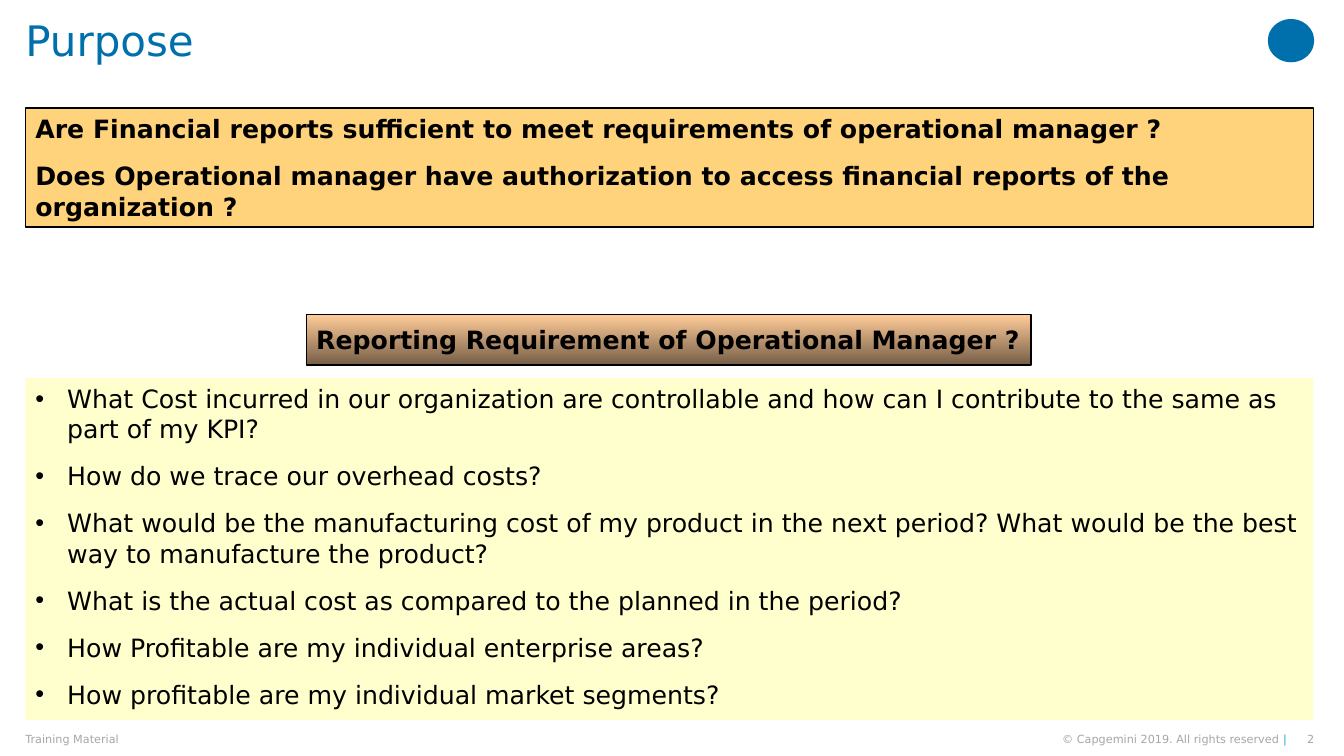
from dataclasses import dataclass

from lxml.etree import SubElement
from pptx import Presentation
from pptx.dml.color import RGBColor as Rgb
from pptx.enum.shapes import MSO_SHAPE as Shape
from pptx.enum.text import MSO_ANCHOR as Anchor, MSO_AUTO_SIZE as AutoSize, PP_ALIGN as Align
from pptx.oxml.ns import qn
from pptx.util import Cm, Pt


@dataclass(frozen=True)
class Theme:
    font: str = "DejaVu Sans"
    blue: str = "0070AD"
    cyan: str = "12ABDB"
    grey: str = "A6A6A6"
    black: str = "000000"
    amber: str = "FFCC66"
    yellow: str = "FFFF99"
    peach: str = "FFCC99"
    brown: str = "765E47"
    title_size: int = 30
    body_size: int = 18
    footer_size: int = 8


LEFT, WIDTH = 0.64, 32.46
FOOTER_TOP, FOOTER_HEIGHT = 18.47, 0.33

QUESTIONS = [
    "Are Financial reports sufficient to meet requirements of operational manager ?",
    "Does Operational manager have authorization to access financial reports of the organization ?",
]
REQUIREMENTS = [
    "What Cost incurred in our organization are controllable and how can I contribute to the same as part of my KPI?",
    "How do we trace our overhead costs?",
    "What would be the manufacturing cost of my product in the next period? "
    "What would be the best way to manufacture the product?",
    "What is the actual cost as compared to the planned in the period?",
    "How Profitable are my individual enterprise areas?",
    "How profitable are my individual market segments?",
]


class SlideBuilder:
    def __init__(self, slide, theme):
        self.slide = slide
        self.theme = theme

    def add_run(self, paragraph, text, size, color, bold=False):
        run = paragraph.add_run()
        run.text = text
        run.font.name = self.theme.font
        run.font.size = Pt(size)
        run.font.bold = bold
        run.font.color.rgb = Rgb.from_string(color)

    def add_lines(self, frame, lines, bold=False, bullets=False):
        for number, line in enumerate(lines):
            paragraph = frame.add_paragraph() if number else frame.paragraphs[0]
            paragraph.alignment = Align.LEFT
            paragraph.space_before = Pt(6 if number else 0)
            paragraph.space_after = Pt(6 if len(lines) > 1 else 0)
            if bullets:
                properties = paragraph._p.get_or_add_pPr()
                properties.set("marL", str(Cm(0.8)))
                properties.set("indent", str(-Cm(0.8)))
                SubElement(properties, qn("a:buChar")).set("char", "•")
            self.add_run(paragraph, line, self.theme.body_size, self.theme.black, bold)

    def tint(self, shape, color, opacity):
        shape.fill.solid()
        shape.fill.fore_color.rgb = Rgb.from_string(color)
        tone = shape._element.spPr.find(qn("a:solidFill")).find(qn("a:srgbClr"))
        SubElement(tone, qn("a:alpha")).set("val", str(opacity * 1000))

    def place(self, shape, left, top, width, height):
        shape.left, shape.top = Cm(left), Cm(top)
        shape.width, shape.height = Cm(width), Cm(height)

    def title(self, text, *bounds):
        heading = self.slide.shapes.title
        self.place(heading, *bounds)
        frame = heading.text_frame
        frame.auto_size = AutoSize.NONE
        frame.vertical_anchor = Anchor.TOP
        frame.margin_left = frame.margin_right = frame.margin_bottom = 0
        frame.margin_top = Cm(0.51)
        paragraph = frame.paragraphs[0]
        paragraph.alignment = Align.LEFT
        paragraph.line_spacing = 0.9
        self.add_run(paragraph, text, self.theme.title_size, self.theme.blue)

    def bullet_panel(self, lines, *bounds):
        panel = self.slide.placeholders[1]
        self.place(panel, *bounds)
        self.tint(panel, self.theme.yellow, 48)
        panel.text_frame.auto_size = AutoSize.NONE
        panel.text_frame.vertical_anchor = Anchor.TOP
        self.add_lines(panel.text_frame, lines, bullets=True)

    def box(self, lines, *bounds, wrap=True):
        box = self.slide.shapes.add_shape(Shape.RECTANGLE, *map(Cm, bounds))
        box.shadow.inherit = False
        box.line.color.rgb = Rgb.from_string(self.theme.black)
        box.line.width = Pt(1)
        box.text_frame.word_wrap = wrap
        box.text_frame.vertical_anchor = Anchor.MIDDLE
        self.add_lines(box.text_frame, lines, bold=True)
        return box

    def question_box(self, lines, *bounds):
        self.tint(self.box(lines, *bounds), self.theme.amber, 85)

    def caption_box(self, text, *bounds):
        fill = self.box([text], *bounds, wrap=False).fill
        fill.gradient()
        fill.gradient_angle = 270
        for stop, color in zip(fill.gradient_stops, (self.theme.peach, self.theme.brown)):
            stop.color.rgb = Rgb.from_string(color)

    def emblem(self, *bounds):
        emblem = self.slide.shapes.add_shape(Shape.OVAL, *map(Cm, bounds))
        emblem.shadow.inherit = False
        emblem.fill.solid()
        emblem.fill.fore_color.rgb = Rgb.from_string(self.theme.blue)
        emblem.line.fill.background()

    def footer(self, pieces, left, width, align):
        note = self.slide.shapes.add_textbox(
            Cm(left), Cm(FOOTER_TOP), Cm(width), Cm(FOOTER_HEIGHT))
        frame = note.text_frame
        frame.word_wrap = True
        frame.vertical_anchor = Anchor.MIDDLE
        frame.margin_left = frame.margin_right = frame.margin_top = frame.margin_bottom = 0
        frame.paragraphs[0].alignment = align
        for text, color in pieces:
            self.add_run(frame.paragraphs[0], text, self.theme.footer_size, color)


def main():
    deck = Presentation()
    deck.slide_width, deck.slide_height = Cm(33.87), Cm(19.05)
    theme = Theme()
    purpose = SlideBuilder(deck.slides.add_slide(deck.slide_layouts[1]), theme)

    purpose.emblem(31.95, 0.48, 1.17, 1.09)
    purpose.footer([("2", theme.grey)], 32.64, 0.48, Align.RIGHT)
    purpose.footer(
        [("© Capgemini 2019. All rights reserved ", theme.grey), ("|", theme.cyan)],
        25.04, 7.39, Align.RIGHT)
    purpose.footer([("Training Material", theme.grey)], LEFT, 13.1, Align.LEFT)

    purpose.title("Purpose", LEFT, 0, 12.7, 2)
    purpose.question_box(QUESTIONS, LEFT, 2.72, WIDTH, 3)
    purpose.caption_box(
        "Reporting Requirement of Operational Manager ?", 7.72, 7.93, 18.26, 1.27)
    purpose.bullet_panel(REQUIREMENTS, LEFT, 9.53, WIDTH, 8.61)

    deck.save("out.pptx")


if __name__ == "__main__":
    main()
